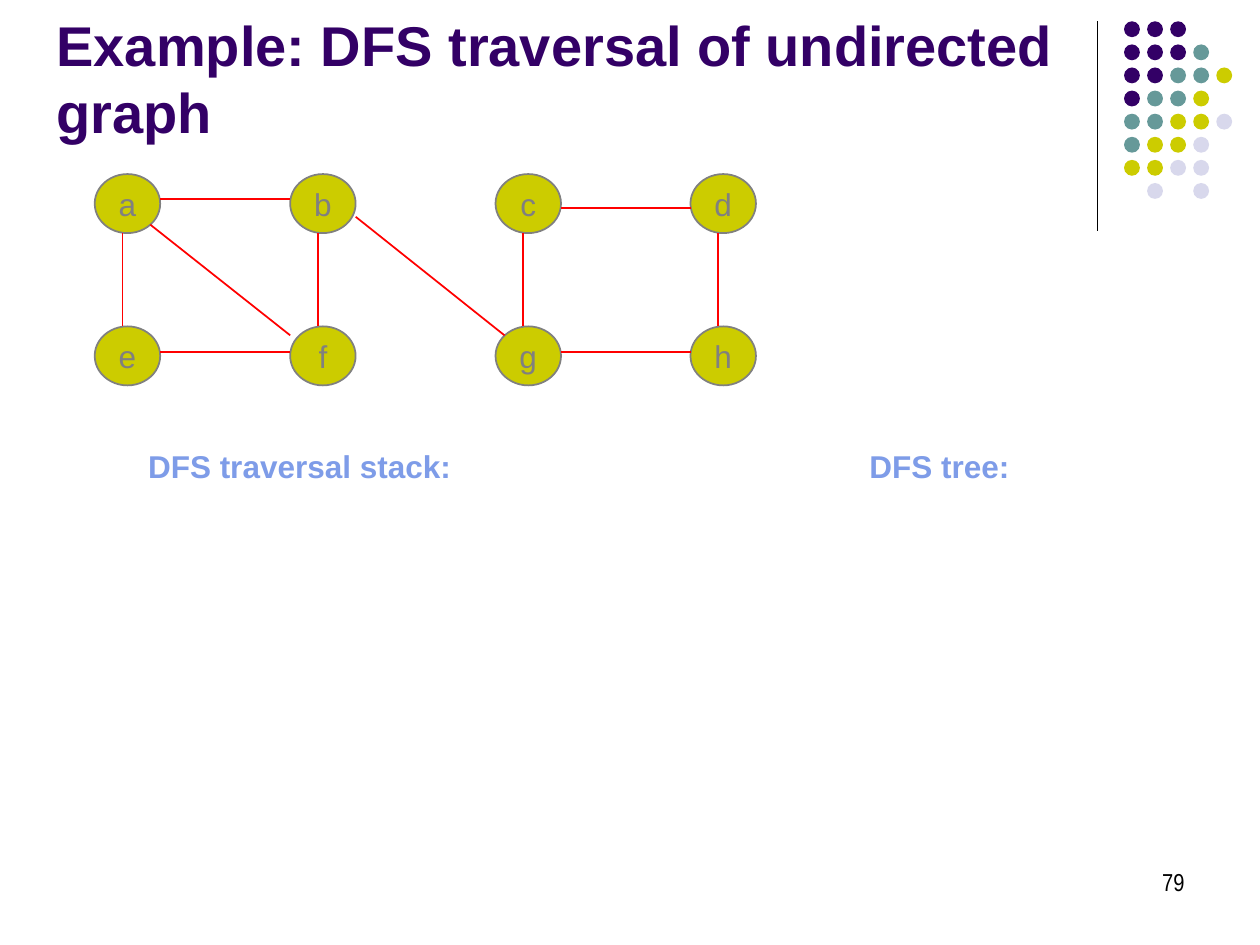
from lxml import etree
from pptx import Presentation
from pptx.dml.color import RGBColor
from pptx.enum import shapes, text
from pptx.oxml.ns import qn
from pptx.util import Cm, Pt

PURPLE = RGBColor(0x33, 0x00, 0x66)
TEAL = RGBColor(0x66, 0x99, 0x99)
OLIVE = RGBColor(0xCC, 0xCC, 0x00)
LAVENDER = RGBColor(0xD8, 0xD8, 0xEC)
GRAY = RGBColor(0x80, 0x80, 0x80)
RED = RGBColor(0xFF, 0x00, 0x00)
BLUE = RGBColor(0x7E, 0x9C, 0xE8)
BLACK = RGBColor(0x00, 0x00, 0x00)

DOT_COLORS = {"P": PURPLE, "T": TEAL, "O": OLIVE, "L": LAVENDER}
DOT_ROWS = ["PPP", "PPPT", "PPTTO", "PTTO", "TTOOL", "TOOL", "OOLL", ".L.L"]

# Node corners and edge ports are in cm; ports are measured from the node's corner.
NODE_W, NODE_H = 1.32, 1.19
COLUMNS = [0, 3.94, 8.08, 12.01]
ROW_PITCH = 3.07
NODE_ROWS = ["abcd", "efgh"]
LEFT, RIGHT = (0, 0.51), (NODE_W, 0.51)
TOP, BOTTOM = (0.56, 0), (0.56, NODE_H)
UPPER_LEFT = (0.18, 0.18)
EDGES = [
    ("a", RIGHT, "b", LEFT),
    ("a", BOTTOM, "e", TOP),
    ("e", RIGHT, "f", LEFT),
    ("b", BOTTOM, "f", TOP),
    ("a", (1.12, 1.02), "f", (0, 0.18)),
    ("c", BOTTOM, "g", TOP),
    ("g", RIGHT, "h", LEFT),
    ("d", BOTTOM, "h", TOP),
    ("c", (NODE_W, 0.69), "d", (0, 0.69)),
    ("b", (NODE_W, 0.86), "g", UPPER_LEFT),
]


def add_run(p, wording, size, color, font="Arial", bold=False):
    r = p.add_run()
    r.text = wording
    r.font.name, r.font.size, r.font.bold = font, Pt(size), bold
    r.font.color.rgb = color


def add_text(s, box, wording, size, color, align=text.PP_ALIGN.LEFT,
             anchor=text.MSO_ANCHOR.TOP, font="Arial", bold=True):
    tf = s.shapes.add_textbox(*map(Cm, box)).text_frame
    tf.word_wrap = True
    tf.vertical_anchor = anchor
    p = tf.paragraphs[0]
    p.alignment = align
    add_run(p, wording, size, color, font, bold)


def add_line(s, start, end, color, width):
    line = s.shapes.add_connector(shapes.MSO_CONNECTOR.STRAIGHT,
                                  *map(Cm, (*start, *end)))
    line.line.color.rgb = color
    line.line.width = Pt(width)
    etree.SubElement(line._element.spPr, qn("a:effectLst"))


def add_ellipse(s, x, y, w, h, fill):
    sp = s.shapes.add_shape(shapes.MSO_SHAPE.OVAL, *map(Cm, (x, y, w, h)))
    sp.shadow.inherit = False
    sp.fill.solid()
    sp.fill.fore_color.rgb = fill
    sp.line.fill.background()
    return sp


def add_dot_pattern(s, x, y, w, h, dot=0.32):
    dx = (w - dot) / (max(map(len, DOT_ROWS)) - 1)
    dy = (h - dot) / (len(DOT_ROWS) - 1)
    for i, row in enumerate(DOT_ROWS):
        for j, key in enumerate(row):
            if key in DOT_COLORS:
                add_ellipse(s, x + j * dx, y + i * dy, dot, dot, DOT_COLORS[key])


def add_node(s, x, y, name):
    sp = add_ellipse(s, x, y, NODE_W, NODE_H, OLIVE)
    sp.line.color.rgb = GRAY
    sp.line.width = Pt(1)
    tf = sp.text_frame
    tf.word_wrap = False
    tf.vertical_anchor = text.MSO_ANCHOR.MIDDLE
    p = tf.paragraphs[0]
    p.alignment = text.PP_ALIGN.CENTER
    add_run(p, name, 18, GRAY)


def add_graph(s, x, y):
    corners = {}
    for i, row in enumerate(NODE_ROWS):
        for name, column in zip(row, COLUMNS):
            corners[name] = (x + column, y + i * ROW_PITCH)
            add_node(s, *corners[name], name)
    for u, u_port, v, v_port in EDGES:
        start = [c + d for c, d in zip(corners[u], u_port)]
        end = [c + d for c, d in zip(corners[v], v_port)]
        add_line(s, start, end, RED, 1)


def main():
    prs = Presentation()
    prs.slide_width, prs.slide_height = Cm(25.4), Cm(19.05)
    s = prs.slides.add_slide(prs.slide_layouts[6])
    add_line(s, (22.12, 0.43), (22.12, 4.65), BLACK, 0.75)
    add_dot_pattern(s, 22.66, 0.43, 2.18, 3.58)
    add_text(s, (18.21, 17.35, 5.92, 1.27), "79", 14, BLACK,
             text.PP_ALIGN.RIGHT, font="Arial Narrow", bold=False)
    add_text(s, (0.89, 1.78, 23.93, 1.27),
             "Example: DFS traversal of undirected graph", 32, PURPLE,
             anchor=text.MSO_ANCHOR.BOTTOM)
    add_graph(s, 1.91, 3.51)
    for x, label in ((1.91, "DFS traversal stack:"), (14.81, "DFS tree:")):
        add_text(s, (x, 8.89, 8.26, 1.02), label, 18, BLUE, text.PP_ALIGN.CENTER)
    prs.save("out.pptx")


if __name__ == "__main__":
    main()
